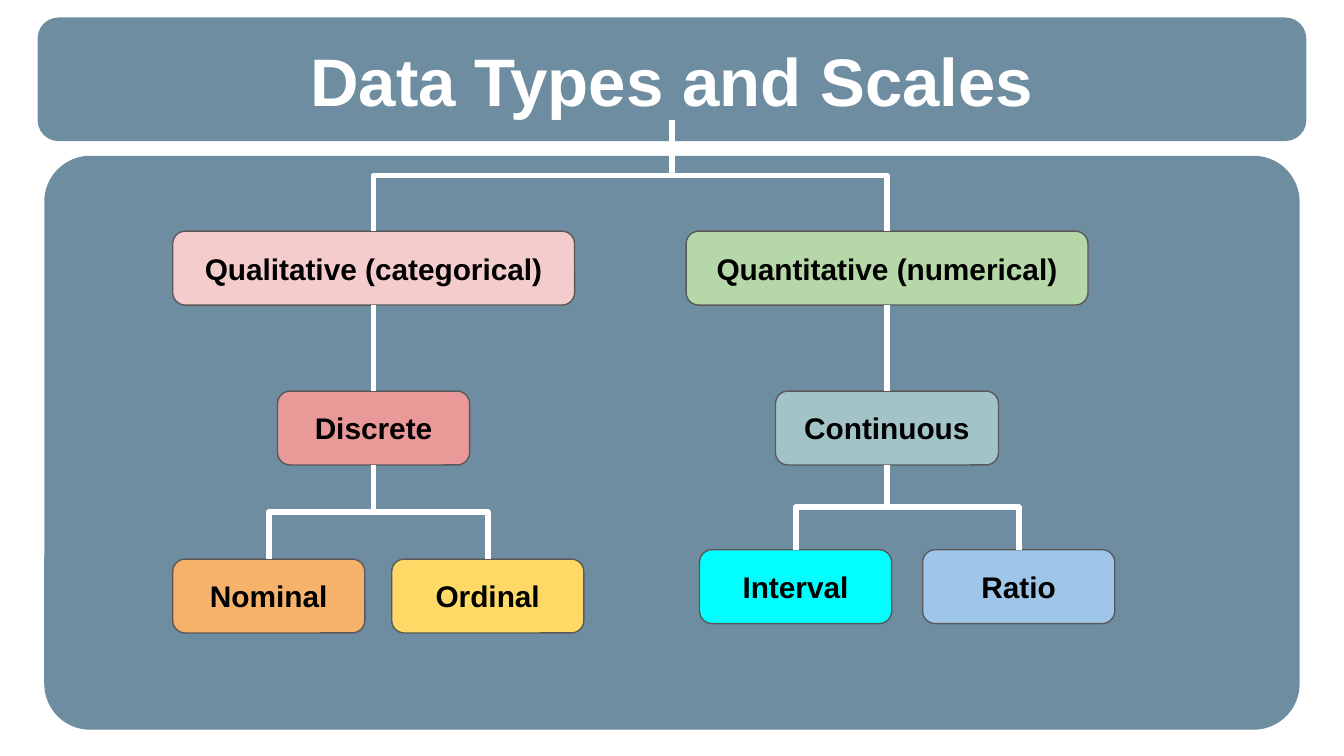
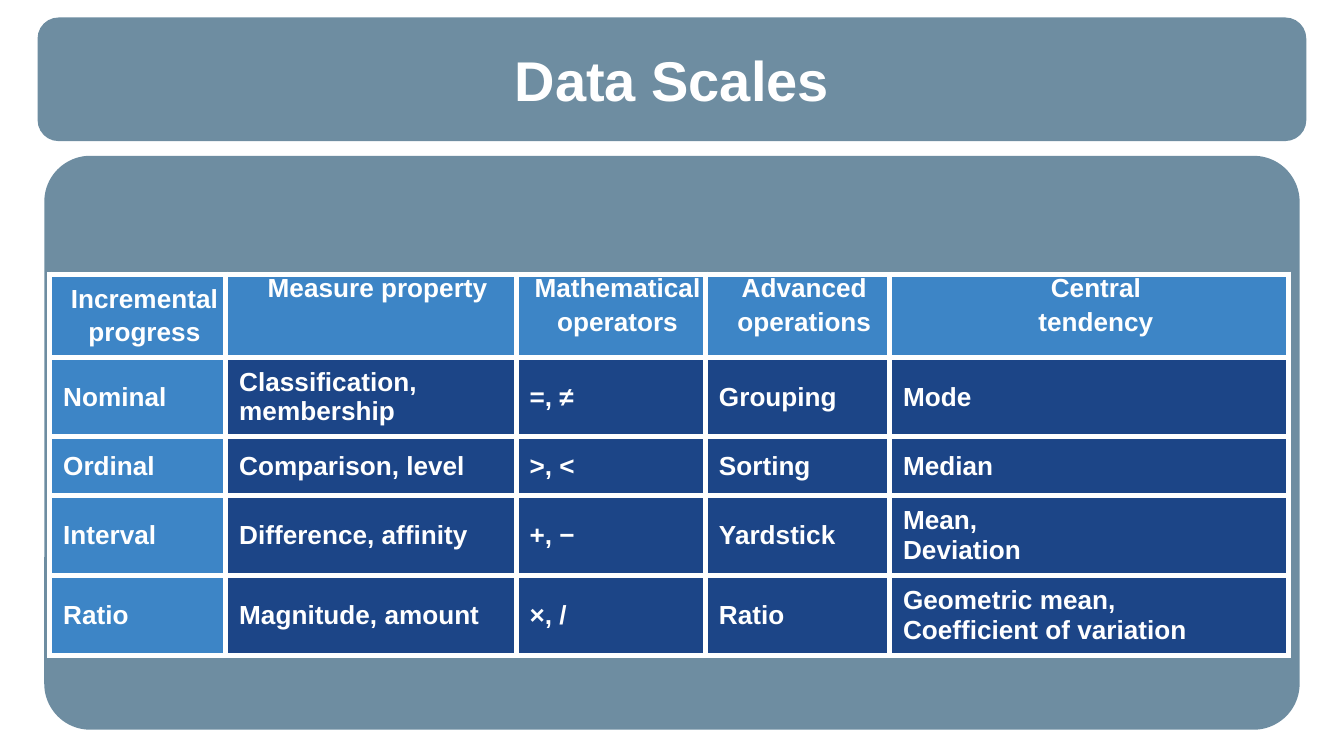
"""Build two slides on data types and measurement scales."""
from lxml.etree import SubElement
from pptx import Presentation
from pptx.dml.color import RGBColor
from pptx.enum.shapes import MSO_CONNECTOR, MSO_SHAPE
from pptx.enum.text import MSO_ANCHOR, PP_ALIGN
from pptx.oxml.ns import qn
from pptx.util import Inches, Pt

FONT = "Arial"
WHITE = RGBColor(0xFF, 0xFF, 0xFF)
BLACK = RGBColor(0x00, 0x00, 0x00)
SLATE = RGBColor(0x21, 0x51, 0x70)
GRAY = RGBColor(0x59, 0x59, 0x59)
BLUE = RGBColor(0x3D, 0x85, 0xC6)
NAVY = RGBColor(0x1C, 0x45, 0x87)
ROSE = RGBColor(0xF4, 0xCC, 0xCC)
GREEN = RGBColor(0xB6, 0xD7, 0xA8)
RED = RGBColor(0xEA, 0x99, 0x99)
TEAL = RGBColor(0xA2, 0xC4, 0xC9)
ORANGE = RGBColor(0xF6, 0xB2, 0x6B)
YELLOW = RGBColor(0xFF, 0xD9, 0x66)
CYAN = RGBColor(0x00, 0xFF, 0xFF)
SKY = RGBColor(0x9F, 0xC5, 0xE8)

BANDS = [(0.28, 0.13, 9.44, 0.92, 0.17), (0.33, 1.16, 9.34, 4.27, 0.08)]
TITLE = (0.33, 0.29, 9.34, 0.6)
BOX_H = 0.55

TREE = [
    ("Qualitative (categorical)", 2.78, 1.72, 2.99, ROSE, None),
    ("Quantitative (numerical)", 6.6, 1.72, 2.99, GREEN, None),
    ("Discrete", 2.78, 2.91, 1.43, RED, "Qualitative (categorical)"),
    ("Continuous", 6.6, 2.91, 1.66, TEAL, "Quantitative (numerical)"),
    ("Nominal", 2, 4.16, 1.43, ORANGE, "Discrete"),
    ("Ordinal", 3.63, 4.16, 1.43, YELLOW, "Discrete"),
    ("Interval", 5.92, 4.09, 1.43, CYAN, "Continuous"),
    ("Ratio", 7.58, 4.09, 1.43, SKY, "Continuous"),
]

COLS = [1.31, 2.16, 1.41, 1.37, 2.97]
ROWS = [0.62, 0.59, 0.44, 0.59, 0.6]
SCALES = [
    ["Incremental\nprogress", "Measure property", "Mathematical\noperators",
     "Advanced\noperations", "Central\ntendency"],
    ["Nominal", "Classification, membership", "=, ≠", "Grouping", "Mode"],
    ["Ordinal", "Comparison, level", ">, <", "Sorting", "Median"],
    ["Interval", "Difference, affinity", "+, −", "Yardstick", "Mean,\nDeviation"],
    ["Ratio", "Magnitude, amount", "×, /", "Ratio",
     "Geometric mean,\nCoefficient of variation"],
]


def inches(*sizes):
    return [Inches(size) for size in sizes]


def write(frame, text, size, color, align, gap=0):
    frame.word_wrap = True
    for i, part in enumerate(text.split("\n")):
        para = frame.paragraphs[0] if i == 0 else frame.add_paragraph()
        para.alignment = align
        if i and gap:
            para.space_before = Pt(gap)
        run = para.add_run()
        run.text = part
        run.font.name, run.font.size, run.font.bold = FONT, Pt(size), True
        run.font.color.rgb = color


def pad(frame):
    frame.vertical_anchor = MSO_ANCHOR.MIDDLE
    frame.margin_left = frame.margin_right = Inches(0.1)
    frame.margin_top = frame.margin_bottom = Inches(0.1)


def add_round(slide, area, fill, curve=0.17):
    shape = slide.shapes.add_shape(MSO_SHAPE.ROUNDED_RECTANGLE, *inches(*area))
    shape.adjustments[0] = curve
    shape.shadow.inherit = False
    shape.fill.solid()
    shape.fill.fore_color.rgb = fill
    return shape


def add_base(deck, title, size):
    slide = deck.slides.add_slide(deck.slide_layouts[6])
    for *area, curve in BANDS:
        band = add_round(slide, area, SLATE, curve)
        band.line.fill.background()
        tint = band._element.spPr.find(qn("a:solidFill"))[0]
        SubElement(tint, qn("a:alpha"), val="65000")
    frame = slide.shapes.add_textbox(*inches(*TITLE)).text_frame
    pad(frame)
    write(frame, title, size, WHITE, PP_ALIGN.CENTER)
    return slide


def add_node(slide, name, mid, top, width, fill):
    node = add_round(slide, (mid - width / 2, top, width, BOX_H), fill)
    node.line.color.rgb = GRAY
    node.line.width = Pt(0.75)
    pad(node.text_frame)
    write(node.text_frame, name, 16, BLACK, PP_ALIGN.CENTER)


def add_link(slide, start, end):
    (x1, y1), (x2, y2) = start, end
    mid_x, mid_y = (x1 + x2) / 2, (y1 + y2) / 2
    half_w, half_h = (y2 - y1) / 2, abs(x2 - x1) / 2
    link = slide.shapes.add_connector(
        MSO_CONNECTOR.ELBOW,
        *inches(mid_x - half_w, mid_y - half_h, mid_x + half_w, mid_y + half_h))
    link.line.color.rgb = WHITE
    link.line.width = Pt(3)
    props = link._element.spPr
    SubElement(props.find(qn("a:ln")), qn("a:round"))
    SubElement(props, qn("a:effectLst"))
    turn = props.find(qn("a:xfrm"))
    if x2 < x1:
        turn.set("rot", "5400000")
    else:
        turn.set("rot", "16200000")
        turn.set("flipH", "1")


def add_tree(slide):
    exits = {None: (5, 0.89)}
    links = []
    for name, mid, top, width, fill, parent in TREE:
        add_node(slide, name, mid, top, width, fill)
        exits[name] = (mid, top + BOX_H)
        links.append((exits[parent], (mid, top)))
    for start, end in links:
        add_link(slide, start, end)


def add_edges(cell):
    props = cell._tc.get_or_add_tcPr()
    for side in "LRTB":
        edge = SubElement(props, qn(f"a:ln{side}"), w=str(Pt(3)))
        fill = SubElement(edge, qn("a:solidFill"))
        SubElement(fill, qn("a:srgbClr"), val=str(WHITE))


def add_scales(slide):
    area = inches(0.37, 2.04, sum(COLS), sum(ROWS))
    table = slide.shapes.add_table(len(ROWS), len(COLS), *area).table
    for col, width in zip(table.columns, COLS):
        col.width = Inches(width)
    for row, height in zip(table.rows, ROWS):
        row.height = Inches(height)
    for r, texts in enumerate(SCALES):
        for c, text in enumerate(texts):
            cell = table.cell(r, c)
            add_edges(cell)
            cell.fill.solid()
            cell.fill.fore_color.rgb = NAVY if r and c else BLUE
            cell.margin_left = Inches(0.1)
            cell.margin_right = cell.margin_top = cell.margin_bottom = 0
            top = r == 0 and c > 0
            cell.vertical_anchor = MSO_ANCHOR.TOP if top else MSO_ANCHOR.MIDDLE
            align = PP_ALIGN.LEFT if r else PP_ALIGN.CENTER
            write(cell.text_frame, text, 14, WHITE, align, 0 if r else 2)


def main():
    deck = Presentation()
    deck.slide_width = Inches(10)
    deck.slide_height = Inches(10) * 9 // 16
    add_tree(add_base(deck, "Data Types and Scales", 36))
    add_scales(add_base(deck, "Data Scales", 30))
    deck.save("out.pptx")


if __name__ == "__main__":
    main()
